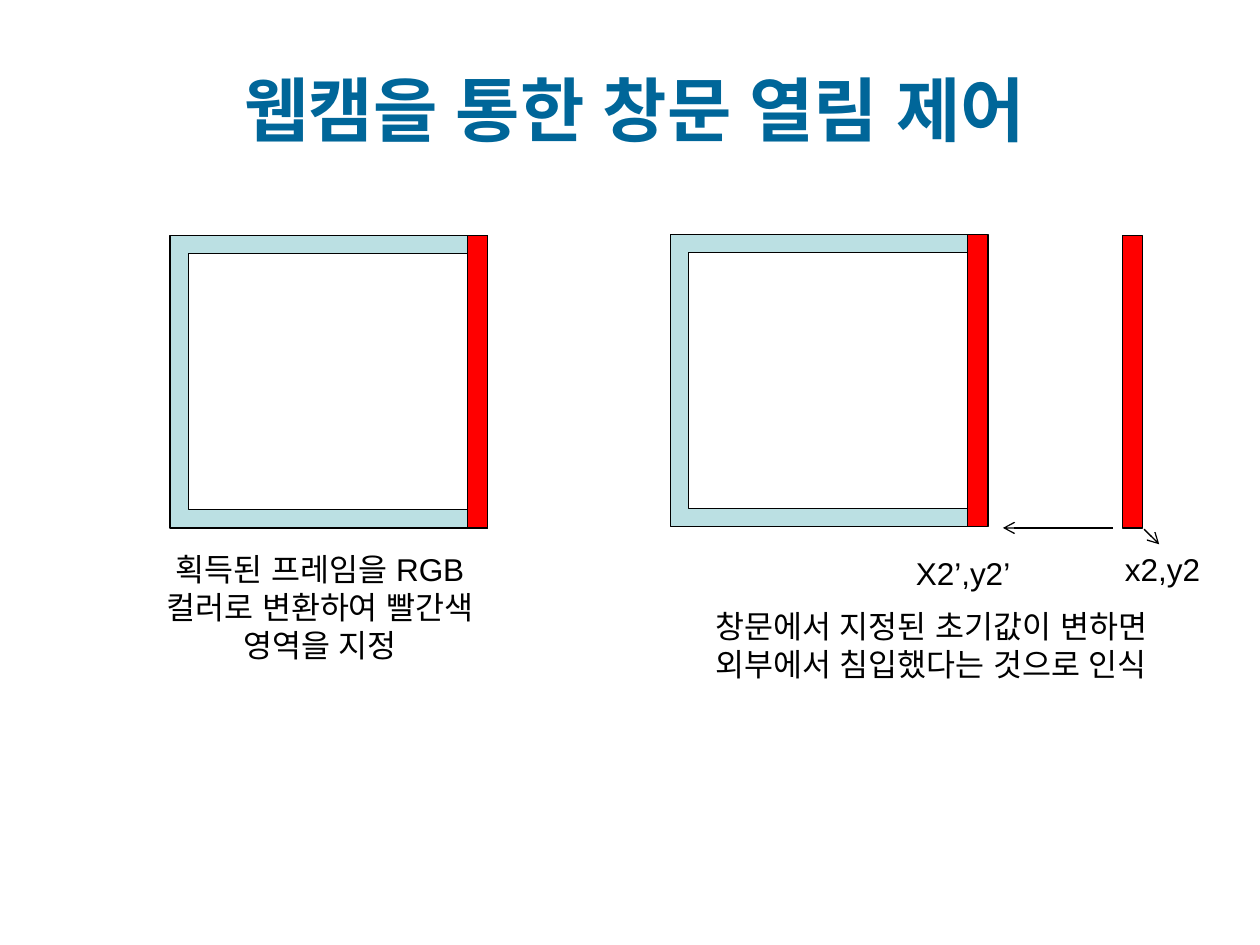
import pptx
import pptx.util
import pptx.dml.color
import pptx.enum.shapes
import pptx.enum.text
import pptx.oxml.ns
from lxml import etree

Inches, Pt = pptx.util.Inches, pptx.util.Pt
RGB = pptx.dml.color.RGBColor.from_string
SHAPE = pptx.enum.shapes.MSO_SHAPE
ALIGN = pptx.enum.text.PP_ALIGN
ANCHOR = pptx.enum.text.MSO_ANCHOR
qn = pptx.oxml.ns.qn

THEME = {
    "frame": "BBE0E3", "bar": "FF0000", "ink": "000000", "title": "006699",
    "title_font": "League Spartan", "body_font": "Arial",
    "title_size": 40, "body_size": 18, "line": 0.75,
}

TITLE = ("웹캠을 통한 창문 열림 제어", (0.58, 0.3, 8.92, 1.12))
FRAME_W, BAR_W, WINDOW_H, FRAME_ADJ = 2.52, 0.16, 2.32, 0.062
WINDOWS = [(1.35, 1.87), (5.32, 1.86)]
INITIAL_BAR = (8.91, 1.87)
ARROWS = [((8.83, 4.19), (7.96, 4.19)), ((9.08, 4.2), (9.2, 4.32))]
LABELS = [
    ("획득된 프레임을 RGB컬러로 변환하여 빨간색 영역을 지정", (1.14, 4.32, 2.8, 1), ALIGN.CENTER),
    ("x2,y2", (8.83, 4.32, 0.87, 0.4), ALIGN.LEFT),
    ("X2’,y2’", (7.17, 4.35, 1.03, 0.4), ALIGN.LEFT),
    ("창문에서 지정된 초기값이 변하면 외부에서 침입했다는 것으로 인식", (5.32, 4.77, 4.14, 0.7), ALIGN.CENTER),
]


def write(tf, text, align, font, size, color, bold=False):
    tf.word_wrap = True
    tf.text = text
    p = tf.paragraphs[0]
    p.alignment = align
    r = p.runs[0]
    r.font.name, r.font.size, r.font.bold = font, Pt(size), bold
    r.font.color.rgb = RGB(color)
    etree.SubElement(r.font._element, qn("a:ea")).set("typeface", font)


def outline(line):
    line.color.rgb = RGB(THEME["ink"])
    line.width = Pt(THEME["line"])


def add_block(s, kind, x, y, w, fill):
    sp = s.shapes.add_shape(kind, Inches(x), Inches(y), Inches(w), Inches(WINDOW_H))
    sp.shadow.inherit = False
    sp.fill.solid()
    sp.fill.fore_color.rgb = RGB(THEME[fill])
    outline(sp.line)
    return sp


def add_window(s, x, y):
    frame = add_block(s, SHAPE.FRAME, x, y, FRAME_W, "frame")
    frame.adjustments[0] = FRAME_ADJ
    add_block(s, SHAPE.RECTANGLE, x + FRAME_W - BAR_W, y, BAR_W, "bar")


def add_arrow(s, start, end):
    c = s.shapes.add_connector(
        pptx.enum.shapes.MSO_CONNECTOR.STRAIGHT, *map(Inches, start + end))
    outline(c.line)
    etree.SubElement(c.line._get_or_add_ln(), qn("a:tailEnd")).set("type", "arrow")
    etree.SubElement(c._element.spPr, qn("a:effectLst"))


def main():
    prs = pptx.Presentation()
    prs.slide_width, prs.slide_height = Inches(10), Inches(7.5)
    s = prs.slides.add_slide(prs.slide_layouts[5])

    text, box = TITLE
    title = s.shapes.title
    title.left, title.top, title.width, title.height = map(Inches, box)
    write(title.text_frame, text, ALIGN.CENTER, THEME["title_font"],
          THEME["title_size"], THEME["title"], True)
    title.text_frame.vertical_anchor = ANCHOR.MIDDLE

    for x, y in WINDOWS:
        add_window(s, x, y)
    add_block(s, SHAPE.RECTANGLE, *INITIAL_BAR, BAR_W, "bar")
    for start, end in ARROWS:
        add_arrow(s, start, end)
    for text, box, align in LABELS:
        tb = s.shapes.add_textbox(*map(Inches, box))
        write(tb.text_frame, text, align, THEME["body_font"],
              THEME["body_size"], THEME["ink"])

    prs.save("out.pptx")


if __name__ == "__main__":
    main()
